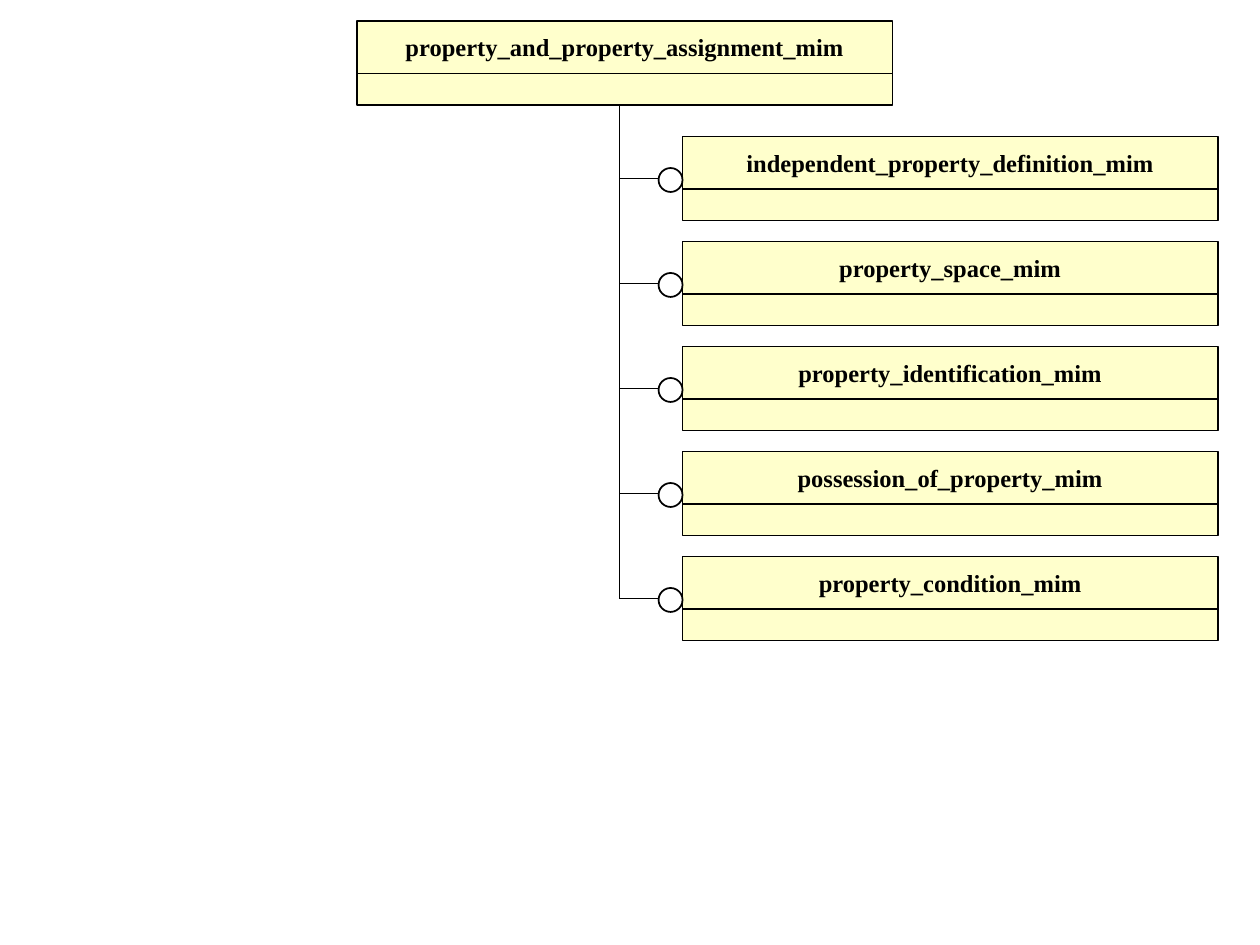
from dataclasses import dataclass

from pptx import Presentation
from pptx.dml.color import RGBColor as RGB
from pptx.enum.shapes import MSO_CONNECTOR as Connector, MSO_SHAPE as Preset
from pptx.enum.text import MSO_ANCHOR as Anchor, PP_ALIGN as Align
from pptx.oxml.ns import qn
from pptx.util import Inches, Pt

PARENT = "property_and_property_assignment_mim"
CHILDREN = [
    "independent_property_definition_mim",
    "property_space_mim",
    "property_identification_mim",
    "possession_of_property_mim",
    "property_condition_mim",
]


@dataclass(frozen=True)
class Theme:
    box_fill: RGB = RGB(0xFF, 0xFF, 0xCC)
    marker_fill: RGB = RGB(0xFF, 0xFF, 0xFF)
    ink: RGB = RGB(0, 0, 0)
    font: str = "Times New Roman"
    name_size: float = 14
    line: float = 0.75
    marker_line: float = 1


THEME = Theme()

# The diagram sits on a grid of twelfths of an inch.
UNIT = 1 / 12
BOX_WIDTH, NAME_HEIGHT, BODY_HEIGHT = 4.25, 5 * UNIT, 3 * UNIT
PARENT_LEFT, PARENT_TOP = 34 * UNIT, 2 * UNIT
CHILD_LEFT, CHILD_TOP, CHILD_PITCH = 65 * UNIT, 13 * UNIT, 10 * UNIT
TRUNK_X, BRANCH_END = 59 * UNIT, 63 * UNIT
BRANCH_DROP = 4 * UNIT
MARKER, MARKER_DROP = 0.19, 3 * UNIT


def add_outlined(shapes, preset, bounds, fill, line_width):
    shape = shapes.add_shape(preset, *map(Inches, bounds))
    shape.shadow.inherit = False
    shape.fill.solid()
    shape.fill.fore_color.rgb = fill
    shape.line.color.rgb = THEME.ink
    shape.line.width = Pt(line_width)
    return shape


def add_schema(slide, name, left, top):
    """Group a name compartment with the empty compartment below it."""
    shapes = slide.shapes.add_group_shape().shapes
    compartments = [(top, NAME_HEIGHT), (top + NAME_HEIGHT, BODY_HEIGHT)]
    title, _ = [
        add_outlined(shapes, Preset.RECTANGLE, (left, y, BOX_WIDTH, height),
                     THEME.box_fill, THEME.line)
        for y, height in compartments
    ]
    frame = title.text_frame
    frame.word_wrap = False
    frame.vertical_anchor = Anchor.MIDDLE
    label = frame.paragraphs[0]
    label.alignment = Align.CENTER
    run = label.add_run()
    run.text = name
    run.font.color.rgb = THEME.ink
    formats = {"name": THEME.font, "size": Pt(THEME.name_size), "bold": True}
    for key, value in formats.items():
        setattr(run.font, key, value)


def add_line(slide, *ends):
    line = slide.shapes.add_connector(Connector.STRAIGHT, *map(Inches, ends))
    line.line.color.rgb = THEME.ink
    line.line.width = Pt(THEME.line)
    properties = line._element.spPr
    properties.append(properties.makeelement(qn("a:effectLst"), {}))


def main():
    deck = Presentation()
    deck.slide_width, deck.slide_height = Inches(10), Inches(7.5)
    slide = deck.slides.add_slide(deck.slide_layouts[6])

    child_tops = [CHILD_TOP + i * CHILD_PITCH for i in range(len(CHILDREN))]
    trunk_top = PARENT_TOP + NAME_HEIGHT + BODY_HEIGHT
    trunk_bottom = child_tops[-1] + BRANCH_DROP

    add_schema(slide, PARENT, PARENT_LEFT, PARENT_TOP)
    add_line(slide, TRUNK_X, trunk_bottom, TRUNK_X, trunk_top)
    for name, top in zip(CHILDREN, child_tops):
        branch_y = top + BRANCH_DROP
        add_schema(slide, name, CHILD_LEFT, top)
        add_line(slide, TRUNK_X, branch_y, BRANCH_END, branch_y)
        add_outlined(slide.shapes, Preset.OVAL,
                     (CHILD_LEFT - MARKER, top + MARKER_DROP, MARKER, MARKER),
                     THEME.marker_fill, THEME.marker_line)

    deck.save("out.pptx")


if __name__ == "__main__":
    main()
